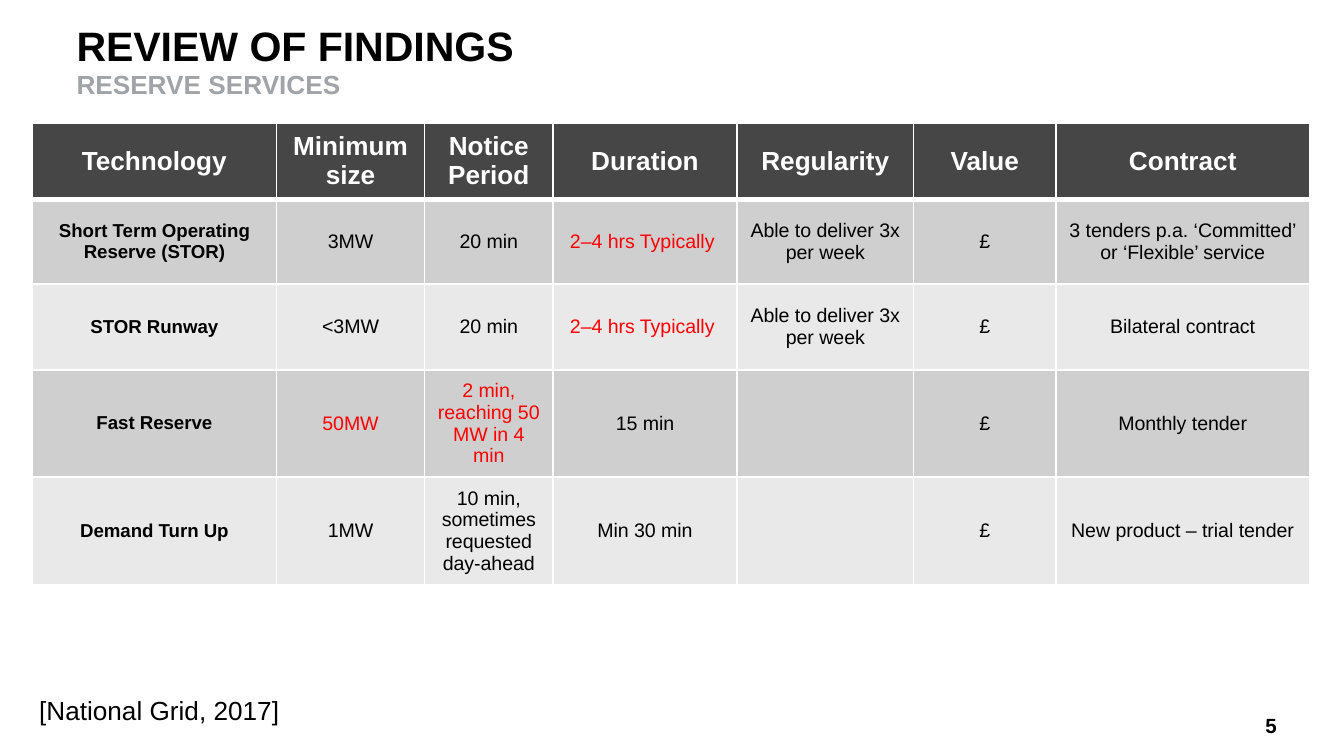
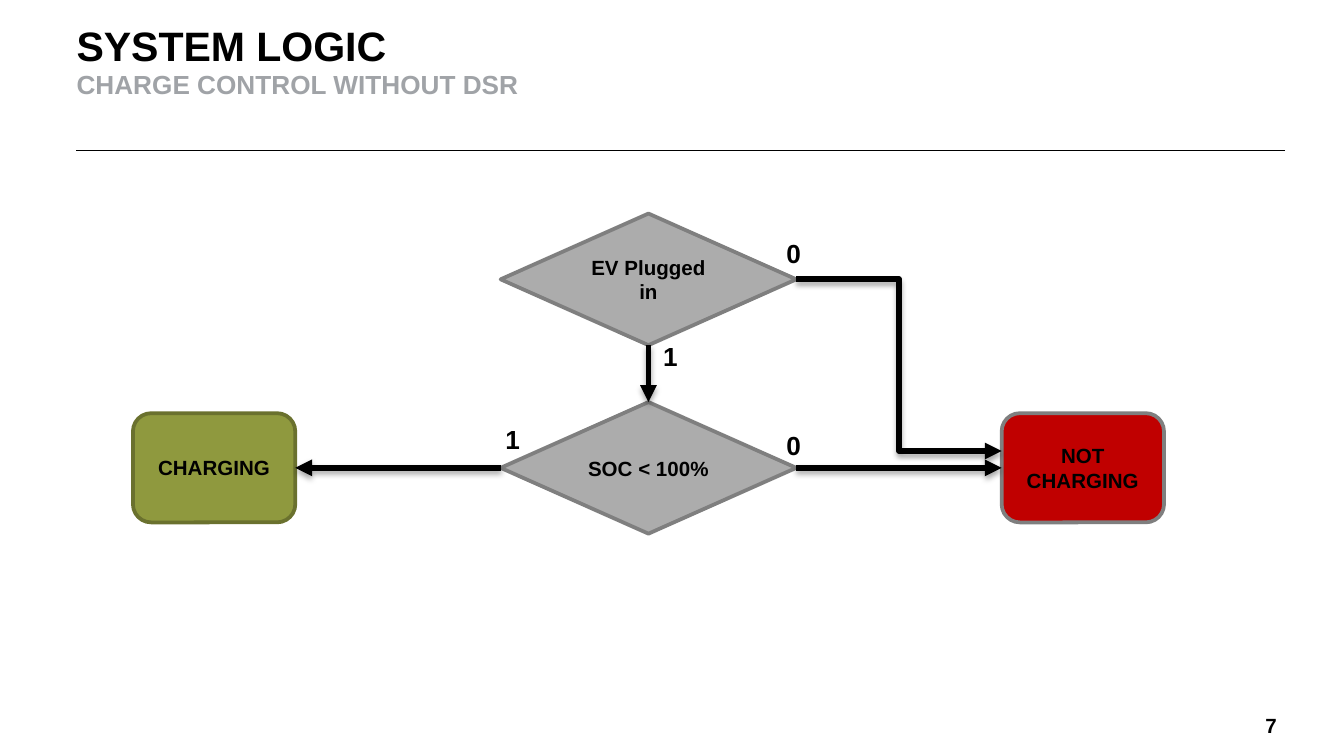
from dataclasses import dataclass

from lxml import etree
from pptx import Presentation
from pptx.dml.color import RGBColor
from pptx.enum.shapes import MSO_CONNECTOR, MSO_SHAPE
from pptx.enum.text import MSO_ANCHOR, PP_ALIGN
from pptx.oxml.ns import qn
from pptx.util import Pt

DIAMOND, ROUND = MSO_SHAPE.DIAMOND, MSO_SHAPE.ROUNDED_RECTANGLE
STRAIGHT, ELBOW = MSO_CONNECTOR.STRAIGHT, MSO_CONNECTOR.ELBOW
TOP, MIDDLE = MSO_ANCHOR.TOP, MSO_ANCHOR.MIDDLE
LEFT, CENTER, RIGHT = PP_ALIGN.LEFT, PP_ALIGN.CENTER, PP_ALIGN.RIGHT
SIDES = ("margin_left", "margin_right", "margin_top", "margin_bottom")


@dataclass(frozen=True)
class Theme:
    font: str = "Arial"
    ink: str = "000000"
    paper: str = "FFFFFF"
    muted: str = "A0A3A7"
    head: str = "464646"
    bands: tuple = ("CFCFCF", "E9E9E9")
    alert: str = "FF0000"
    gray: str = "ACACAC"
    edge: str = "7F7F7F"
    green: str = "8F993E"
    moss: str = "6A712E"
    red: str = "C00000"
    title: float = 22
    large: float = 14
    node: float = 11
    cell: float = 10.5
    name: float = 10


T = Theme()

HEADS = ["Technology", "Minimum size", "Notice Period", "Duration",
         "Regularity", "Value", "Contract"]
ROWS = [
    ["Short Term Operating Reserve (STOR)", "3MW", "20 min", "2–4 hrs Typically ",
     "Able to deliver 3x per week", "£",
     "3 tenders p.a. ‘Committed’ or ‘Flexible’ service"],
    ["STOR Runway", "<3MW", "20 min", "2–4 hrs Typically ",
     "Able to deliver 3x per week", "£", "Bilateral contract"],
    ["Fast Reserve", "50MW", "2 min, reaching 50 MW in 4 min", "15 min",
     "", "£", "Monthly tender"],
    ["Demand Turn Up", "1MW", "10 min, sometimes requested day-ahead",
     "Min 30 min", "", "£", "New product – trial tender"],
]
ALERTS = {(1, 3), (2, 3), (3, 1), (3, 2)}
WIDTHS = [130.8, 79.4, 68.8, 98.6, 94.6, 76.2, 136]
HEIGHTS = [30.2, 45.4, 46.1, 49, 43.9]


def put(item, values):
    for key, value in values.items():
        setattr(item, key, value)


def color(code):
    return RGBColor.from_string(code)


def paint(fill, code):
    fill.solid()
    fill.fore_color.rgb = color(code)


def write(para, text, size, code=T.ink, bold=True):
    run = para.add_run()
    run.text = text
    put(run.font, {"name": T.font, "size": Pt(size), "bold": bold})
    run.font.color.rgb = color(code)


def label(slide, box, text, size, bold=True, wrap=True, inset=None,
          anchor=TOP, align=LEFT):
    frame = slide.shapes.add_textbox(*map(Pt, box)).text_frame
    put(frame, {"word_wrap": wrap, "vertical_anchor": anchor})
    if inset is not None:
        put(frame, dict.fromkeys(SIDES, Pt(inset)))
    para = frame.paragraphs[0]
    para.alignment = align
    write(para, text, size, bold=bold)
    return para


def link(slide, kind, start, end, width, arrow=False):
    line = slide.shapes.add_connector(kind, *map(Pt, start + end))
    line.line.width = Pt(width)
    paint(line.line.fill, T.ink)
    props = line.element.spPr
    effect = etree.SubElement(props, qn("a:effectLst"))
    if arrow:
        etree.SubElement(props.find(qn("a:ln")), qn("a:tailEnd"), type="triangle")
        shade = etree.SubElement(effect, qn("a:outerShdw"), blurRad=str(Pt(3.1)),
                                 dist=str(Pt(1.8)), dir="5400000", rotWithShape="0")
        tint = etree.SubElement(shade, qn("a:srgbClr"), val=T.ink)
        etree.SubElement(tint, qn("a:alpha"), val="35000")
    return line


def join(slide, first, out, last, into):
    line = link(slide, STRAIGHT, (0, 0), (0, 0), 3, True)
    line.begin_connect(first, out)
    line.end_connect(last, into)


def node(slide, kind, box, text, fill, edge):
    shape = slide.shapes.add_shape(kind, *map(Pt, box))
    shape.shadow.inherit = False
    paint(shape.fill, fill)
    paint(shape.line.fill, edge)
    shape.line.width = Pt(2)
    frame = shape.text_frame
    put(frame, {"word_wrap": True, "vertical_anchor": MIDDLE})
    put(frame, dict.fromkeys(SIDES, Pt(5)))
    para = frame.paragraphs[0]
    para.alignment = CENTER
    write(para, text, T.node)
    return shape


def border(cell, side, width):
    line = etree.SubElement(cell._tc.get_or_add_tcPr(), qn(f"a:ln{side}"),
                            w=str(Pt(width)))
    fill = etree.SubElement(line, qn("a:solidFill"))
    etree.SubElement(fill, qn("a:srgbClr"), val=T.paper)


def grid(slide, box):
    table = slide.shapes.add_table(len(HEIGHTS), len(WIDTHS), *map(Pt, box)).table
    table.horz_banding = False
    for col, width in zip(table.columns, WIDTHS):
        col.width = Pt(width)
    for row, height in zip(table.rows, HEIGHTS):
        row.height = Pt(height)
    for r, texts in enumerate([HEADS] + ROWS):
        for c, text in enumerate(texts):
            cell = table.cell(r, c)
            put(cell, {"vertical_anchor": MIDDLE, "margin_left": Pt(6.5),
                       "margin_right": Pt(6.5)})
            edges = {"L": 1, "R": 1, "T": 3 if r == 1 else 1, "B": 1 if r else 3}
            for side, width in edges.items():
                border(cell, side, width)
            paint(cell.fill, T.bands[(r - 1) % 2] if r else T.head)
            para = cell.text_frame.paragraphs[0]
            para.alignment = CENTER
            if r == 0:
                write(para, text, T.large, T.paper)
            elif c == 0:
                write(para, text, T.name)
            elif text:
                write(para, text, T.cell, T.alert if (r, c) in ALERTS else T.ink, False)


def flow(slide, box):
    left, top, width, height = box
    wide, tall = 158.4, 70.5
    side, deep = 87, 58.5
    mid = left + width / 2
    base = top + height - tall / 2
    edge = mid + wide / 2
    far = left + width - side

    plug, charge = [
        node(slide, DIAMOND, (mid - wide / 2, y, wide, tall), text, T.gray, T.edge)
        for y, text in ((top, "EV Plugged in"), (base - tall / 2, "SOC < 100%"))]
    on, off = [
        node(slide, ROUND, (x, base - deep / 2, side, deep), text, fill, rim)
        for x, text, fill, rim in ((left, "CHARGING", T.green, T.moss),
                                   (far, "NOT CHARGING", T.red, T.edge))]
    join(slide, charge, 1, on, 3)
    join(slide, charge, 3, off, 1)
    join(slide, plug, 2, charge, 0)
    link(slide, ELBOW, (edge, top + tall / 2), (far, base - 9), 3, True)
    for x, y, text in ((277, 64.4, "1"), (192.5, 109, "1"),
                       (343, 9.3, "0"), (343, 112, "0")):
        label(slide, (left + x, top + y, 46, 24.5), text, T.large)


def start(deck, title, sub, page):
    slide = deck.slides.add_slide(deck.slide_layouts[6])
    link(slide, STRAIGHT, (688.5, 80.8), (40.5, 80.8), 0.5)
    para = label(slide, (41, 13, 445, 57), title, T.title, inset=0)
    para.line_spacing = 0.95
    para.add_line_break()
    write(para, sub, T.large, T.muted)
    label(slide, (644.4, 382.3, 39.6, 12.2), page, T.node, inset=0,
          anchor=MIDDLE, align=RIGHT)
    return slide


def review(deck):
    slide = start(deck, "REVIEW OF FINDINGS", "RESERVE SERVICES", "5")
    label(slide, (13.9, 368.3, 144, 24.5), "[National Grid, 2017]", T.large,
          bold=False, wrap=False)
    grid(slide, (17.3, 65.8, sum(WIDTHS), sum(HEIGHTS)))


def logic(deck):
    slide = start(deck, "SYSTEM LOGIC", "CHARGE CONTROL WITHOUT DSR", "7")
    flow(slide, (71.2, 114.4, 552.4, 171.5))


def main():
    deck = Presentation()
    put(deck, {"slide_width": Pt(720), "slide_height": Pt(405)})
    review(deck)
    logic(deck)
    deck.save("out.pptx")


if __name__ == "__main__":
    main()
